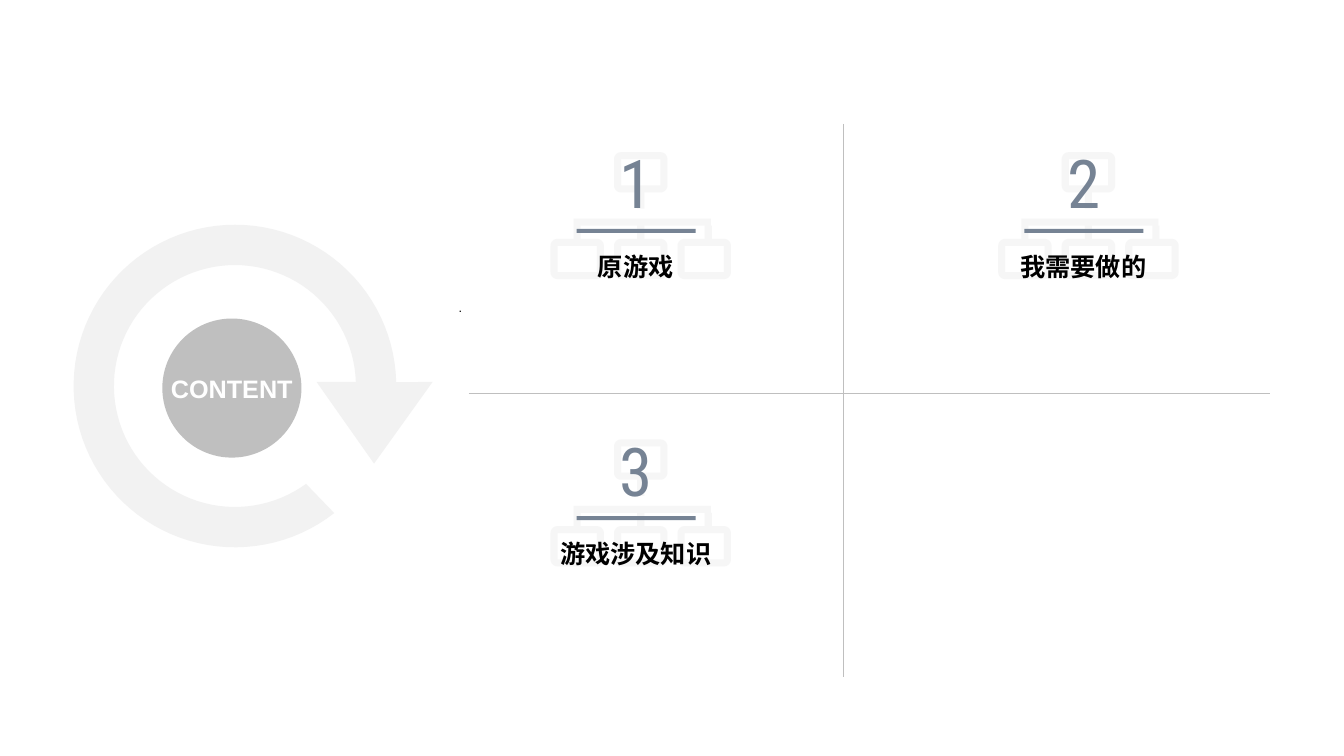
from math import cos, radians, sin

from lxml.etree import SubElement
from pptx import Presentation
from pptx.dml.color import RGBColor
from pptx.enum.shapes import MSO_CONNECTOR, MSO_SHAPE
from pptx.enum.text import MSO_ANCHOR, PP_ALIGN
from pptx.oxml.ns import qn
from pptx.util import Inches, Pt

COLORS = {
    "pale": "F2F2F2",
    "gray": "BFBFBF",
    "slate": "768394",
    "black": "000000",
    "white": "FFFFFF",
}


def arc_points(x, y, radius, start, end, steps):
    """Points on an arc around (x, y), in inches, with angles in degrees."""
    angles = [radians(start + (end - start) * i / steps) for i in range(steps + 1)]
    return [(x + radius * cos(a), y + radius * sin(a)) for a in angles]


def write_text(shape, text, size, font, color, bold=False, align=PP_ALIGN.CENTER,
               anchor=MSO_ANCHOR.MIDDLE, inset=(0.1, 0.05), wrap=False):
    frame = shape.text_frame
    frame.word_wrap = wrap
    frame.vertical_anchor = anchor
    frame.margin_left = frame.margin_right = Inches(inset[0])
    frame.margin_top = frame.margin_bottom = Inches(inset[1])
    para = frame.paragraphs[0]
    para.alignment = align
    run = para.add_run()
    run.text = text
    run.font.size = Pt(size)
    run.font.name = font
    run.font.bold = bold
    run.font.color.rgb = RGBColor.from_string(COLORS[color])


deck = Presentation()
deck.slide_width, deck.slide_height = Inches(13.33), Inches(7.5)
page = deck.slides.add_slide(deck.slide_layouts[6])
shapes = page.shapes

# Left edge, top edge, number and label of each section
sections = [
    (4.45, 1.3, "1", "原游戏"),
    (8.89, 1.3, "2", "我需要做的"),
    (4.45, 4.15, "3", "游戏涉及知识"),
]

# Circular arrow
ring_x, ring_y = 2.33, 3.83
arrow_head = [(4.29, 3.79), (3.71, 4.6), (3.14, 3.79)]
ring = (arc_points(ring_x, ring_y, 1.6, -308, -1.4, 90) + arrow_head
        + arc_points(ring_x, ring_y, 1.2, -2, -306, 90))
outlines = [([ring], 100)]

# Organisation chart icon behind each section, measured from the section corner
icon_boxes = [(1.64, 0.21), (1.01, 1.07), (1.64, 1.07), (2.27, 1.07)]
icon_bars = [
    (1.24, 0.87, 1.36, 0.07),
    (1.24, 0.94, 0.07, 0.13),
    (1.87, 0.94, 0.07, 0.13),
    (2.54, 0.94, 0.07, 0.13),
    (1.87, 0.61, 0.07, 0.16),
]
box_width, box_height, border = 0.53, 0.4, 0.07
for left, top, number, label in sections:
    contours = []
    rectangles = list(icon_bars)
    for x, y in icon_boxes:
        near_x, far_x = left + x + border, left + x + box_width - border
        near_y, far_y = top + y + border, top + y + box_height - border
        corners = [(near_x, near_y, 180), (far_x, near_y, 270),
                   (far_x, far_y, 0), (near_x, far_y, 90)]
        contours.append([point for corner_x, corner_y, angle in corners
                         for point in arc_points(corner_x, corner_y, border,
                                                 angle, angle + 90, 6)])
        contours.append([(near_x, near_y), (near_x, far_y),
                         (far_x, far_y), (far_x, near_y)])
    for x, y, width, height in rectangles:
        x, y = left + x, top + y
        contours.append([(x, y), (x + width, y),
                         (x + width, y + height), (x, y + height)])
    outlines.append((contours, 64))

for contours, opacity in outlines:
    builder = None
    for contour in contours:
        points = [(Inches(x), Inches(y)) for x, y in contour]
        if builder is None:
            builder = shapes.build_freeform(*points[0])
        else:
            builder.move_to(*points[0])
        builder.add_line_segments(points[1:], close=True)
    outline = builder.convert_to_shape()
    outline.shadow.inherit = False
    outline.fill.solid()
    outline.fill.fore_color.rgb = RGBColor.from_string(COLORS["pale"])
    outline.line.fill.background()
    if opacity < 100:
        color_element = outline.fill._xPr.find(qn("a:solidFill"))[0]
        SubElement(color_element, qn("a:alpha"), val=str(opacity * 1000))

circle = shapes.add_shape(MSO_SHAPE.OVAL, Inches(1.61), Inches(3.16),
                          Inches(1.38), Inches(1.38))
circle.shadow.inherit = False
circle.fill.solid()
circle.fill.fore_color.rgb = RGBColor.from_string(COLORS["gray"])
circle.line.fill.background()
write_text(circle, "CONTENT", 18, "Arial", "white", bold=True)

# Numbers, rules and labels
for left, top, number, label in sections:
    rule = shapes.add_shape(MSO_SHAPE.RECTANGLE, Inches(left + 1.27),
                            Inches(top + 0.97), Inches(1.18), Inches(0.04))
    rule.shadow.inherit = False
    rule.fill.solid()
    rule.fill.fore_color.rgb = RGBColor.from_string(COLORS["slate"])
    rule.line.fill.background()
    number_box = shapes.add_textbox(Inches(left + 1.47), Inches(top),
                                    Inches(0.78), Inches(1.01))
    write_text(number_box, number, 48, "Roboto Condensed", "slate", inset=(0.2, 0.1))
    label_box = shapes.add_textbox(Inches(left), Inches(top + 1.06),
                                   Inches(3.71), Inches(0.48))
    write_text(label_box, label, 18, "Arial", "black", bold=True,
               anchor=MSO_ANCHOR.BOTTOM)

detail = shapes.add_shape(MSO_SHAPE.SNIP_2_SAME_RECTANGLE, Inches(4.45), Inches(2.85),
                          Inches(3.71), Inches(0.67))
detail.adjustments[0] = detail.adjustments[1] = 0
detail.shadow.inherit = False
detail.fill.background()
detail.line.fill.background()
write_text(detail, ".", 9, "Arial", "black", align=PP_ALIGN.LEFT,
           anchor=MSO_ANCHOR.TOP, wrap=True)
detail.text_frame.paragraphs[0].line_spacing = 1.5

# Dividing lines between the quadrants
for ends in [(4.65, 3.9, 12.6, 3.9), (8.36, 1.23, 8.36, 6.72)]:
    divider = shapes.add_connector(MSO_CONNECTOR.STRAIGHT, *map(Inches, ends))
    divider.line.color.rgb = RGBColor.from_string(COLORS["gray"])
    divider.line.width = Pt(0.25)
    SubElement(divider._element.spPr, qn("a:effectLst"))

deck.save("out.pptx")
